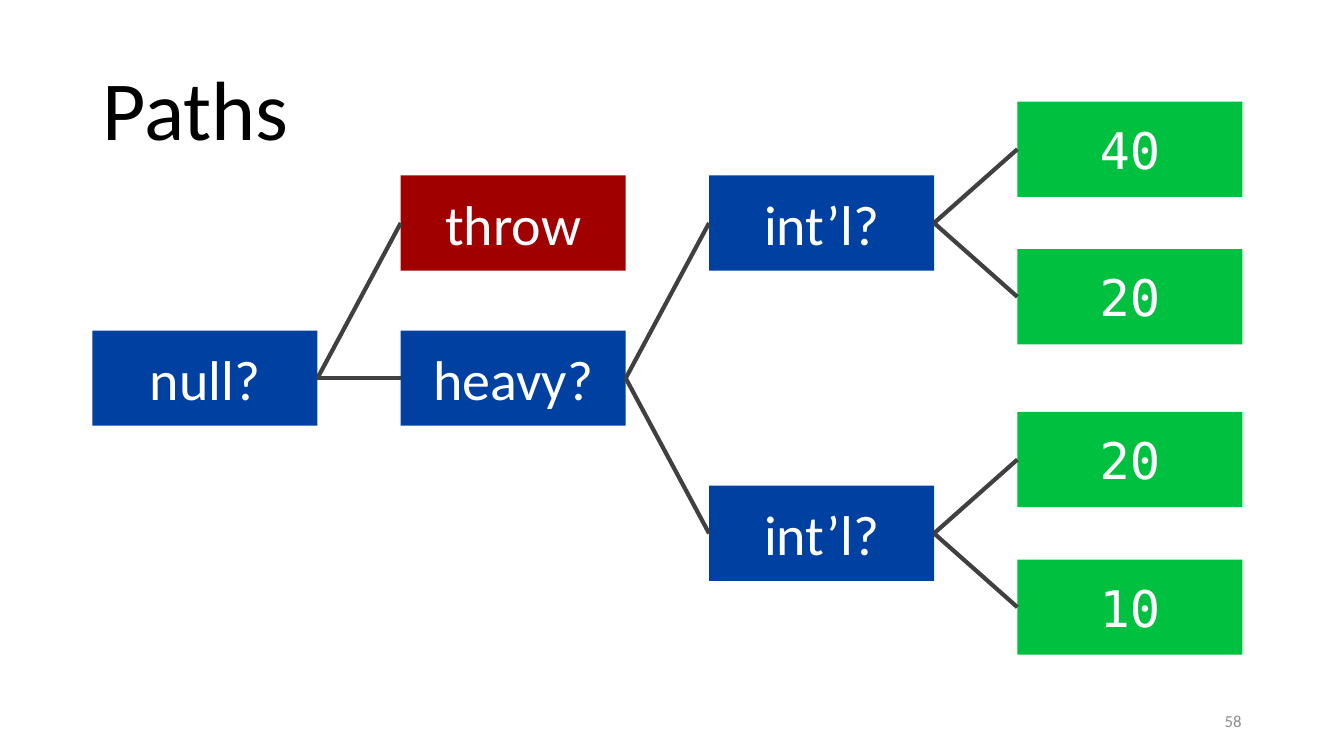
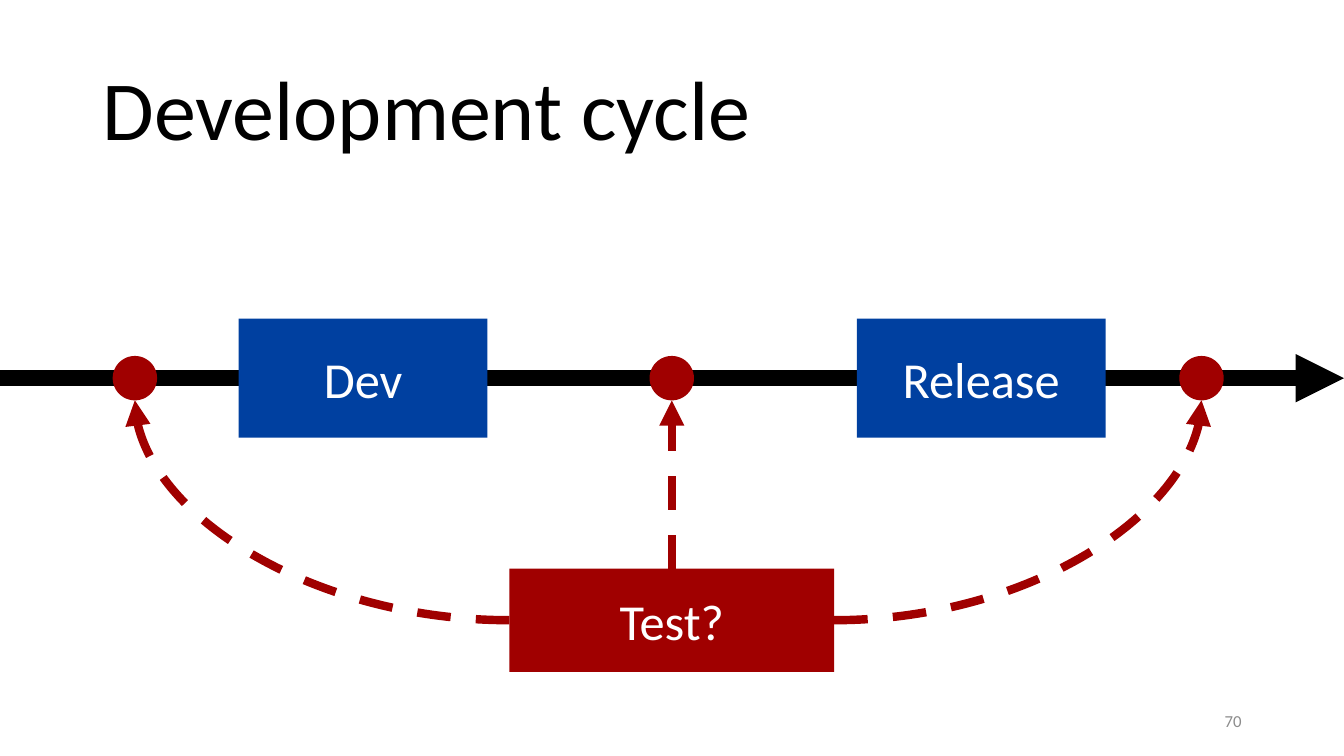
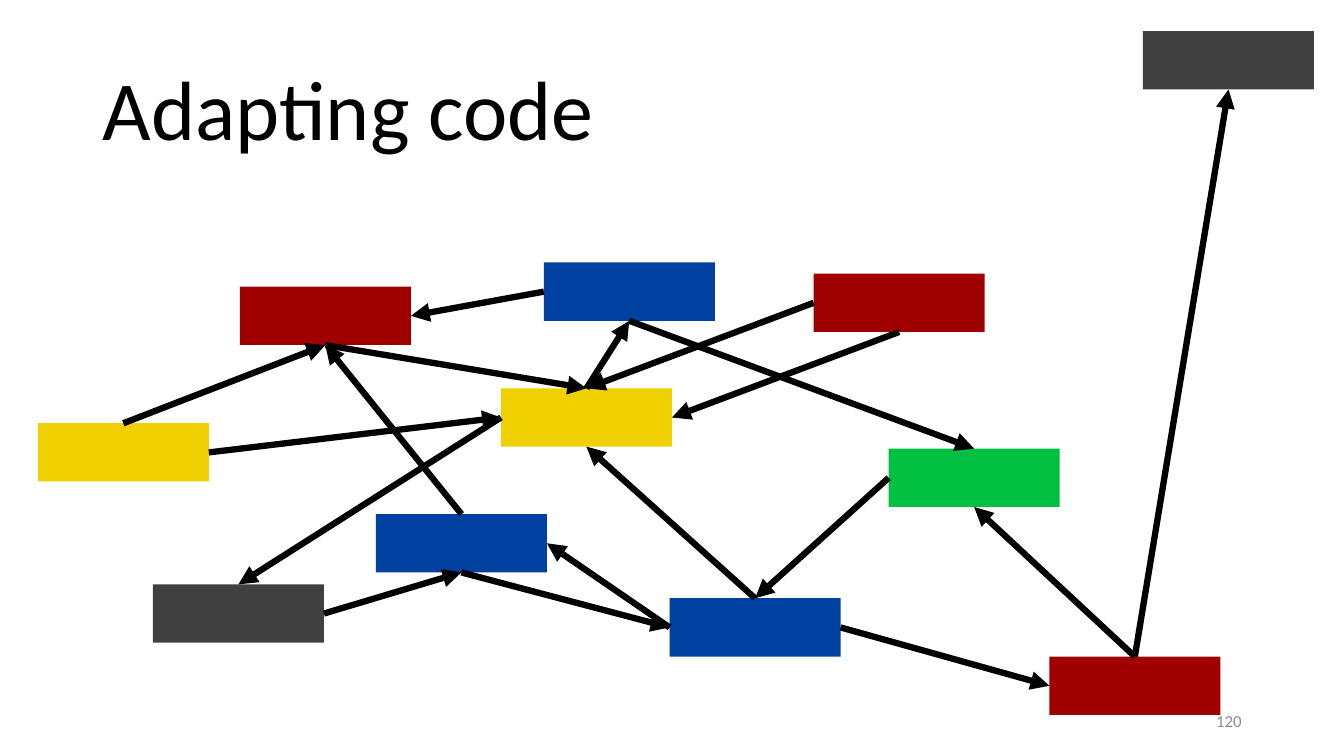
from dataclasses import dataclass
from typing import NamedTuple

from lxml.etree import SubElement
from pptx import Presentation
from pptx.dml.color import RGBColor
from pptx.enum.dml import MSO_LINE
from pptx.enum.shapes import MSO_CONNECTOR, MSO_SHAPE
from pptx.enum.text import MSO_ANCHOR, MSO_AUTO_SIZE, PP_ALIGN
from pptx.oxml.ns import qn
from pptx.util import Cm, Pt

TOP, LEFT, BOTTOM, RIGHT = range(4)
OVAL_BOTTOM = 4


@dataclass(frozen=True)
class Theme:
    black: str = "000000"
    white: str = "FFFFFF"
    gray: str = "8C8C8C"
    dark: str = "404040"
    blue: str = "0040A0"
    red: str = "A00000"
    green: str = "00C040"
    yellow: str = "F0D000"
    sans: str = "Calibri"
    mono: str = "DejaVu Sans Mono"
    title_size: int = 60
    question_size: int = 40
    label_size: int = 36
    number_size: int = 12


THEME = Theme()


class Size(NamedTuple):
    width: float
    height: float


class Box(NamedTuple):
    """A filled shape placed by its centre, in centimetres."""
    x: float
    y: float
    color: str
    label: str = ""
    text_size: int = THEME.label_size
    font: str = THEME.sans


class Stroke(NamedTuple):
    color: str
    width: float
    arrow: bool = True
    dashed: bool = False


class Link(NamedTuple):
    start: str
    start_side: int
    end: str
    end_side: int


PAGE = Size(33.87, 19.05)
MIDDLE = 9.53


def write(frame, text: str, size: int, color: str, align: PP_ALIGN, font: str = THEME.sans):
    frame_format = {"word_wrap": True, "auto_size": MSO_AUTO_SIZE.NONE,
                    "vertical_anchor": MSO_ANCHOR.MIDDLE}
    for name, value in frame_format.items():
        setattr(frame, name, value)
    para = frame.paragraphs[0]
    para.alignment = align
    span = para.add_run()
    span.text = text
    for name, value in {"name": font, "size": Pt(size)}.items():
        setattr(span.font, name, value)
    span.font.color.rgb = RGBColor.from_string(color)
    return para


def add_page(deck, title: str, number: int):
    page = deck.slides.add_slide(deck.slide_layouts[5])
    holder = page.shapes.title
    place = {"left": 2.33, "top": 1.01, "width": 29.21, "height": 3.68}
    for name, value in place.items():
        setattr(holder, name, Cm(value))
    para = write(holder.text_frame, title, THEME.title_size, THEME.black, PP_ALIGN.LEFT)
    para.line_spacing = 0.9
    number_box = page.shapes.add_textbox(Cm(23.92), Cm(17.66), Cm(7.62), Cm(1.01))
    write(number_box.text_frame, str(number), THEME.number_size, THEME.gray, PP_ALIGN.RIGHT)
    return page


def add_box(page, box: Box, size: Size, kind: MSO_SHAPE = MSO_SHAPE.RECTANGLE):
    shape = page.shapes.add_shape(
        kind, Cm(box.x - size.width / 2), Cm(box.y - size.height / 2),
        Cm(size.width), Cm(size.height))
    shape.shadow.inherit = False
    shape.fill.solid()
    shape.fill.fore_color.rgb = RGBColor.from_string(box.color)
    shape.line.fill.background()
    if box.label:
        write(shape.text_frame, box.label, box.text_size, THEME.white,
              PP_ALIGN.CENTER, box.font)
    return shape


def add_line(page, stroke: Stroke, start: tuple = (0, 0), end: tuple = (0, 0),
             kind: MSO_CONNECTOR = MSO_CONNECTOR.STRAIGHT):
    line = page.shapes.add_connector(kind, *(Cm(value) for value in (*start, *end)))
    line.line.color.rgb = RGBColor.from_string(stroke.color)
    line.line.width = Pt(stroke.width)
    if stroke.dashed:
        line.line.dash_style = MSO_LINE.DASH
    properties = line.element.spPr
    if stroke.arrow:
        SubElement(properties.find(qn("a:ln")), qn("a:tailEnd"), type="triangle")
    SubElement(properties, qn("a:effectLst"))
    return line


def join_boxes(page, shapes: dict, links: list[Link], stroke: Stroke) -> None:
    for link in links:
        line = add_line(page, stroke)
        line.begin_connect(shapes[link.start], link.start_side)
        line.end_connect(shapes[link.end], link.end_side)


def join_to_oval(line, oval) -> None:
    """Attach the line's end to the foot of an oval, whose sites number eight."""
    joints = line.element.find(".//" + qn("p:cNvCxnSpPr"))
    SubElement(joints, qn("a:endCxn"), id=str(oval.shape_id), idx=str(OVAL_BOTTOM))


def draw_paths(deck) -> None:
    page = add_page(deck, "Paths", 58)
    columns = [2.33 + 5.67 / 2 + 7.77 * index for index in range(4)]
    upper, lower = MIDDLE - 3.91, MIDDLE + 3.91

    def question(column: int, y: float, label: str, color: str = THEME.blue) -> Box:
        return Box(columns[column], y, color, label, THEME.question_size)

    boxes = {
        "null": question(0, MIDDLE, "null?"),
        "throw": question(1, upper, "throw", THEME.red),
        "heavy": question(1, MIDDLE, "heavy?"),
        "upper": question(2, upper, "int’l?"),
        "lower": question(2, lower, "int’l?"),
    }
    branches = [("null", "throw"), ("null", "heavy"), ("heavy", "upper"), ("heavy", "lower")]
    for parent, costs in {"upper": ("40", "20"), "lower": ("20", "10")}.items():
        for cost, offset in zip(costs, (-1.86, 1.86)):
            leaf = f"{parent} {cost}"
            boxes[leaf] = Box(columns[3], boxes[parent].y + offset, THEME.green, cost,
                              font=THEME.mono)
            branches.append((parent, leaf))
    shapes = {name: add_box(page, box, Size(5.67, 2.4)) for name, box in boxes.items()}
    links = [Link(parent, RIGHT, child, LEFT) for parent, child in branches]
    join_boxes(page, shapes, links, Stroke(THEME.dark, 3, arrow=False))


def draw_cycle(deck) -> None:
    page = add_page(deck, "Development cycle", 70)
    add_line(page, Stroke(THEME.black, 11.5), (0, MIDDLE), (PAGE.width, MIDDLE))
    for x, label in ((9.15, "Dev"), (24.73, "Release")):
        add_box(page, Box(x, MIDDLE, THEME.blue, label), Size(6.27, 3))

    test, test_size, dot = Box(16.93, 15.63, THEME.red, "Test?"), Size(8.18, 2.6), 1.12
    test_shape = add_box(page, test, test_size)
    for x, side in ((3.4, LEFT), (test.x, TOP), (30.28, RIGHT)):
        oval = add_box(page, Box(x, MIDDLE, THEME.red), Size(dot, dot), MSO_SHAPE.OVAL)
        curved = side != TOP
        line = add_line(page, Stroke(THEME.red, 6, dashed=True), (test.x, test.y),
                        (x, MIDDLE + dot / 2),
                        MSO_CONNECTOR.CURVE if curved else MSO_CONNECTOR.STRAIGHT)
        if curved:
            line.element.spPr.find(qn("a:prstGeom")).set("prst", "curvedConnector2")
        line.begin_connect(test_shape, side)
        join_to_oval(line, oval)


def draw_adapting(deck) -> None:
    page = add_page(deck, "Adapting code", 120)
    boxes = {
        "red left": Box(8.2, 7.96, THEME.red),
        "dark left": Box(6.01, 15.46, THEME.dark),
        "yellow middle": Box(14.78, 10.52, THEME.yellow),
        "red bottom": Box(28.6, 17.28, THEME.red),
        "green": Box(24.55, 12.04, THEME.green),
        "yellow left": Box(3.11, 11.4, THEME.yellow),
        "dark top": Box(30.96, 1.52, THEME.dark),
        "blue left": Box(11.63, 13.69, THEME.blue),
        "blue top": Box(15.86, 7.35, THEME.blue),
        "blue bottom": Box(19.03, 15.81, THEME.blue),
        "red right": Box(22.66, 7.63, THEME.red),
    }
    links = [
        Link("red left", BOTTOM, "yellow middle", TOP),
        Link("blue top", BOTTOM, "green", TOP),
        Link("yellow middle", LEFT, "dark left", TOP),
        Link("dark left", RIGHT, "blue left", BOTTOM),
        Link("yellow left", RIGHT, "yellow middle", LEFT),
        Link("yellow left", TOP, "red left", BOTTOM),
        Link("blue bottom", TOP, "yellow middle", BOTTOM),
        Link("blue left", TOP, "red left", BOTTOM),
        Link("red right", BOTTOM, "yellow middle", RIGHT),
        Link("red bottom", TOP, "dark top", BOTTOM),
        Link("blue bottom", LEFT, "blue left", RIGHT),
        Link("blue left", BOTTOM, "blue bottom", LEFT),
        Link("blue top", LEFT, "red left", RIGHT),
        Link("red right", LEFT, "yellow middle", TOP),
        Link("green", LEFT, "blue bottom", TOP),
        Link("yellow middle", TOP, "blue top", BOTTOM),
        Link("red bottom", TOP, "green", BOTTOM),
        Link("blue bottom", RIGHT, "red bottom", LEFT),
    ]
    shapes = {name: add_box(page, box, Size(4.31, 1.47)) for name, box in boxes.items()}
    join_boxes(page, shapes, links, Stroke(THEME.black, 4.5))


def main() -> None:
    deck = Presentation()
    deck.slide_width, deck.slide_height = Cm(PAGE.width), Cm(PAGE.height)
    for draw in (draw_paths, draw_cycle, draw_adapting):
        draw(deck)
    deck.save("out.pptx")


if __name__ == "__main__":
    main()
